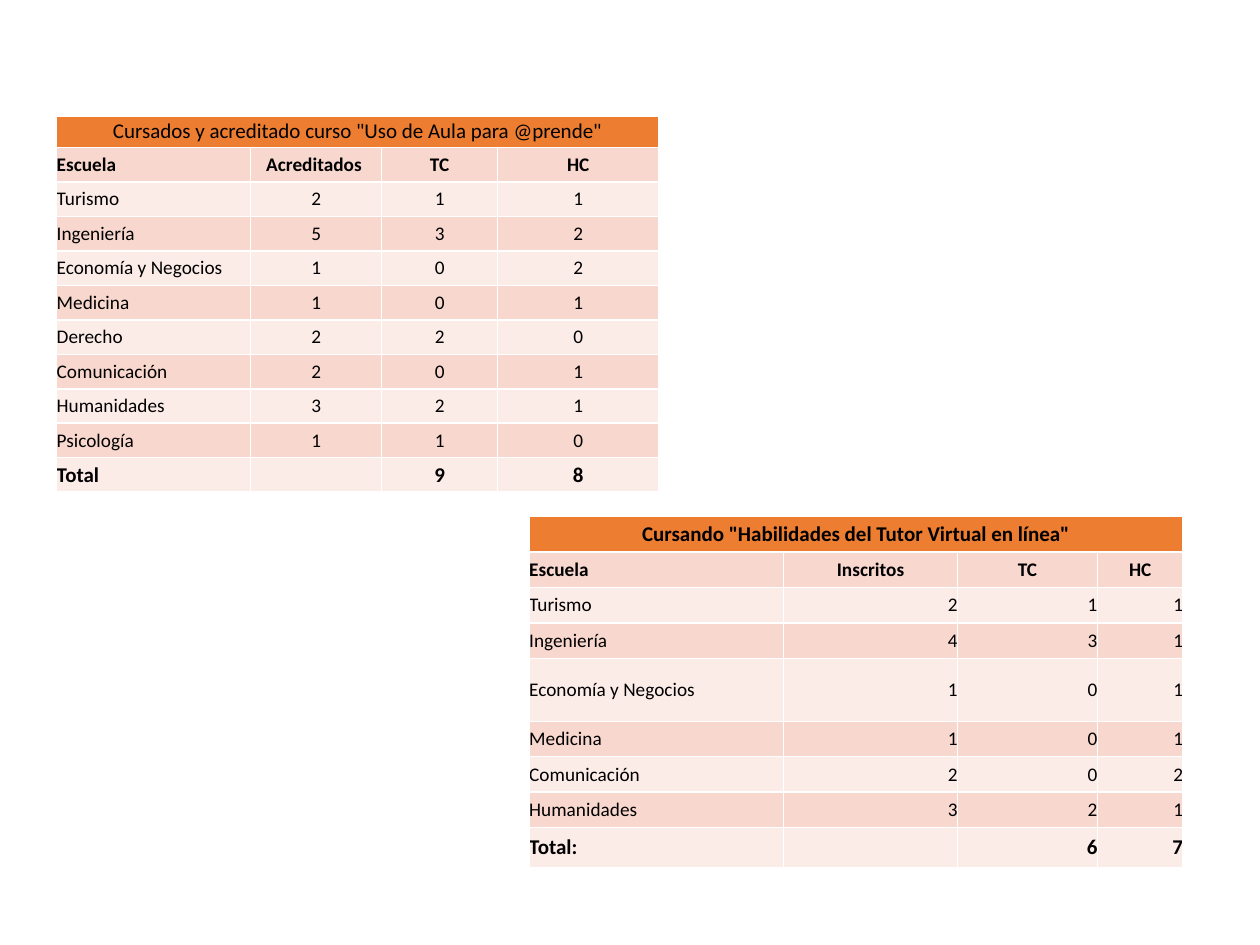
from lxml.etree import SubElement
from pptx import Presentation
from pptx.dml.color import RGBColor
from pptx.enum.text import MSO_ANCHOR, PP_ALIGN
from pptx.oxml.ns import qn
from pptx.util import Inches, Pt

THEME = {
    "font": "Calibri", "text": "000000", "border": "FFFFFF",
    "title_fill": "ED7D31", "bands": ("FCECE8", "F8D7CE"),
    "large": 12, "body": 11, "line": 1,
}
CELL_FORMAT = {"margin_left": 0, "margin_right": 0, "margin_top": 0,
               "margin_bottom": 0, "vertical_anchor": MSO_ANCHOR.MIDDLE}

# Course tables: special rows have their own height, the others share the rest
COURSES = [
    {
        "box": (0.45, 0.92, 4.79, 2.99),
        "columns": (1.54, 1.04, 0.92, 1.28),
        "special_rows": {0: 0.25},
        "title_bold": False, "numbers": PP_ALIGN.CENTER,
        "rows": [
            ('Cursados y acreditado curso "Uso de Aula para @prende"', "", "", ""),
            ("Escuela", "Acreditados ", "TC", "HC"),
            ("Turismo", 2, 1, 1),
            ("Ingeniería", 5, 3, 2),
            ("Economía y Negocios", 1, 0, 2),
            ("Medicina", 1, 0, 1),
            ("Derecho ", 2, 2, 0),
            ("Comunicación", 2, 0, 1),
            ("Humanidades", 3, 2, 1),
            ("Psicología", 1, 1, 0),
            ("Total", "", 9, 8),
        ],
    },
    {
        "box": (4.2, 4.1, 5.2, 2.79),
        "columns": (2.02, 1.38, 1.11, 0.68),
        "special_rows": {4: 0.5, 8: 0.32},
        "title_bold": True, "numbers": PP_ALIGN.RIGHT,
        "rows": [
            ('Cursando "Habilidades del Tutor Virtual en línea"', "", "", ""),
            ("Escuela", "Inscritos", "TC", "HC"),
            ("Turismo", 2, 1, 1),
            ("Ingeniería", 4, 3, 1),
            ("Economía y Negocios", 1, 0, 1),
            ("Medicina", 1, 0, 1),
            ("Comunicación", 2, 0, 2),
            ("Humanidades", 3, 2, 1),
            ("Total:", "", 6, 7),
        ],
    },
]


def add_borders(cell):
    properties = cell._tc.get_or_add_tcPr()
    for side in "LRTB":
        line = SubElement(properties, qn(f"a:ln{side}"), w=str(Pt(THEME["line"])))
        fill = SubElement(line, qn("a:solidFill"))
        SubElement(fill, qn("a:srgbClr"), val=THEME["border"])


def write_cell(cell, value, alignment, size, bold):
    paragraph = cell.text_frame.paragraphs[0]
    paragraph.alignment = alignment
    if value == "":
        # Keeps an empty cell from growing its row
        SubElement(paragraph._p, qn("a:endParaRPr"), sz=str(size * 100))
        return
    run = paragraph.add_run()
    run.text = str(value)
    font_format = {"name": THEME["font"], "size": Pt(size), "bold": bold}
    for name, setting in font_format.items():
        setattr(run.font, name, setting)
    run.font.color.rgb = RGBColor.from_string(THEME["text"])


presentation = Presentation()
presentation.slide_width, presentation.slide_height = Inches(10), Inches(7.5)
slide = presentation.slides.add_slide(presentation.slide_layouts[6])

for course in COURSES:
    rows, special = course["rows"], course["special_rows"]
    shape = slide.shapes.add_table(len(rows), len(course["columns"]),
                                   *map(Inches, course["box"]))
    table = shape.table
    last = len(rows) - 1

    # Column widths and row heights
    for column, width in zip(table.columns, course["columns"]):
        column.width = Inches(width)
    common = (course["box"][3] - sum(special.values())) / (len(rows) - len(special))
    for index, row in enumerate(table.rows):
        row.height = Inches(special.get(index, common))
    table.cell(0, 0).merge(table.cell(0, len(course["columns"]) - 1))

    # Cells: title, column headings, banded schools and total
    for row_index, values in enumerate(rows):
        title = row_index == 0
        size = THEME["large"] if row_index in (0, last) else THEME["body"]
        bold = course["title_bold"] if title else row_index in (1, last)
        color = THEME["title_fill"] if title else THEME["bands"][row_index % 2]
        for column_index, value in enumerate(values):
            cell = table.cell(row_index, column_index)
            for name, setting in CELL_FORMAT.items():
                setattr(cell, name, setting)
            add_borders(cell)
            cell.fill.solid()
            cell.fill.fore_color.rgb = RGBColor.from_string(color)
            if row_index < 2:
                alignment = PP_ALIGN.CENTER
            else:
                alignment = course["numbers"]
            if column_index == 0 and not title:
                alignment = PP_ALIGN.LEFT
            write_cell(cell, value, alignment, size, bold)

presentation.save("out.pptx")
